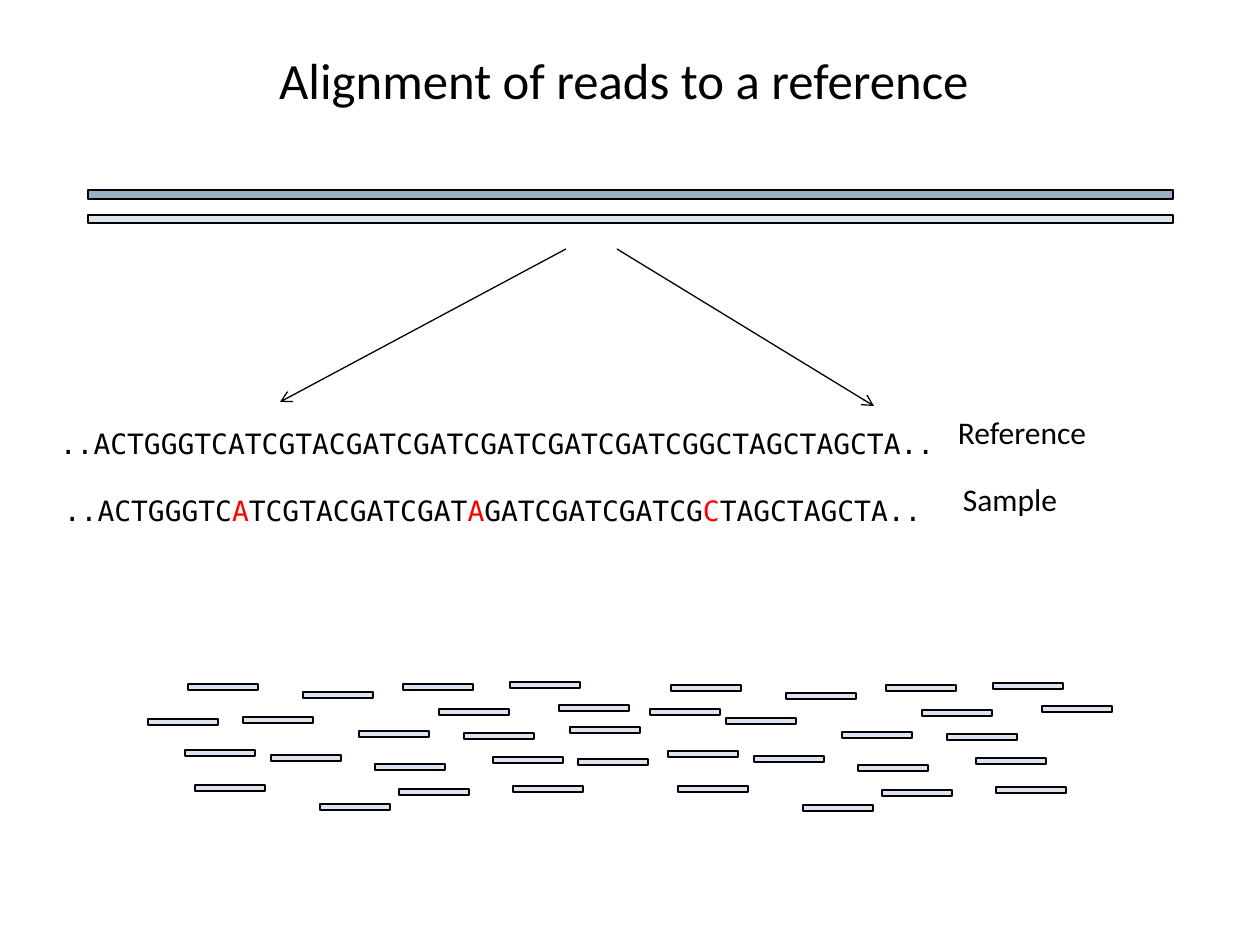
from lxml import etree
from pptx import Presentation
from pptx.dml.color import RGBColor
from pptx.enum.shapes import MSO_CONNECTOR as Connector, MSO_SHAPE as Shape
from pptx.enum.text import MSO_ANCHOR as Anchor, MSO_AUTO_SIZE as AutoSize, PP_ALIGN as Align
from pptx.oxml.ns import qn
from pptx.util import Emu, Pt

PX_PER_INCH = 126
BLACK, RED = "000000", "FF0000"
REFERENCE_FILL, SAMPLE_FILL = "9DADC6", "DBE3F0"
SANS, MONO = "Calibri", "DejaVu Sans Mono"


def px(length):
    return Emu(round(length * 914400 / PX_PER_INCH))


def color(hex_string):
    return RGBColor.from_string(hex_string)


def add_run(paragraph, text, *, size, font, fill=BLACK):
    run = paragraph.add_run()
    run.text = text
    run.font.size = Pt(size)
    run.font.name = font
    run.font.color.rgb = color(fill)


class SlideBuilder:
    line_width = Pt(0.75)

    def __init__(self, slide):
        self.slide = slide

    def bar(self, left, top, width, height, fill):
        shape = self.slide.shapes.add_shape(
            Shape.RECTANGLE, px(left), px(top), px(width), px(height))
        shape.shadow.inherit = False
        shape.fill.solid()
        shape.fill.fore_color.rgb = color(fill)
        shape.line.color.rgb = color(BLACK)
        shape.line.width = self.line_width

    def text(self, box, runs, *, size, font=SANS, align=Align.LEFT,
             anchor=Anchor.TOP, inset=13, auto_size=AutoSize.SHAPE_TO_FIT_TEXT):
        """Runs are (text, colour) pairs."""
        frame = self.slide.shapes.add_textbox(*map(px, box)).text_frame
        frame.word_wrap = True
        frame.auto_size = auto_size
        frame.vertical_anchor = anchor
        frame.margin_left = px(inset)
        paragraph = frame.paragraphs[0]
        paragraph.alignment = align
        for text, fill in runs:
            add_run(paragraph, text, size=size, font=font, fill=fill)

    def arrow(self, start, end):
        connector = self.slide.shapes.add_connector(
            Connector.STRAIGHT, *map(px, start + end))
        connector.line.color.rgb = color(BLACK)
        connector.line.width = self.line_width
        line = connector.line._get_or_add_ln()
        etree.SubElement(line, qn("a:tailEnd"), type="arrow")
        etree.SubElement(connector._element.spPr, qn("a:effectLst"))


def main():
    presentation = Presentation()
    presentation.slide_width, presentation.slide_height = px(1260), px(945)
    slide = presentation.slides.add_slide(presentation.slide_layouts[6])
    builder = SlideBuilder(slide)

    # Title
    builder.text((86, 0, 1076, 158), [("Alignment of reads to a reference", BLACK)],
                 size=29, align=Align.CENTER, anchor=Anchor.MIDDLE,
                 auto_size=AutoSize.NONE)

    # Reference and sample genomes
    builder.bar(88, 190, 1085, 9, REFERENCE_FILL)
    builder.bar(88, 215, 1085, 8, SAMPLE_FILL)

    # Short reads: one scatter, repeated to the right with two reads moved
    left_reads = [
        (271, 755), (375, 764), (320, 804), (439, 709), (359, 731),
        (464, 733), (399, 789), (243, 717), (185, 750), (195, 785),
        (148, 719), (188, 684), (303, 692), (403, 684), (510, 682),
        (559, 705), (570, 727), (493, 757), (513, 786),
    ]
    moved_reads = {(148, 719): (578, 759), (570, 727): (650, 709)}
    right_reads = [moved_reads.get((left, top), (left + 483, top + 1))
                   for left, top in left_reads]
    for left, top in left_reads + right_reads:
        builder.bar(left, top, 70, 6, SAMPLE_FILL)

    # Sequences, with the variants in red
    reference = [("..ACTGGGTCATCGTACGATCGATCGATCGATCGATCGGCTAGCTAGCTA..", BLACK)]
    sample = [
        ("..ACTGGGTC", BLACK), ("A", RED), ("TCGTACGATCGAT", BLACK), ("A", RED),
        ("GATCGATCGATCG", BLACK), ("C", RED), ("TAGCTAGCTA..", BLACK),
    ]
    for top, inset, runs in [(420, 60, reference), (487, 64, sample)]:
        builder.text((0, top, 1260, 47), runs, size=16, font=MONO, inset=inset)

    # Sequence labels
    for left, top, label in [(945, 407, "Reference"), (950, 474, "Sample")]:
        builder.text((left, top, 301, 50), [(label, BLACK)], size=18)

    # Zoom arrows from the genomes to the sequences
    builder.arrow((566, 249), (280, 402))
    builder.arrow((617, 249), (874, 406))

    presentation.save("out.pptx")


if __name__ == "__main__":
    main()
